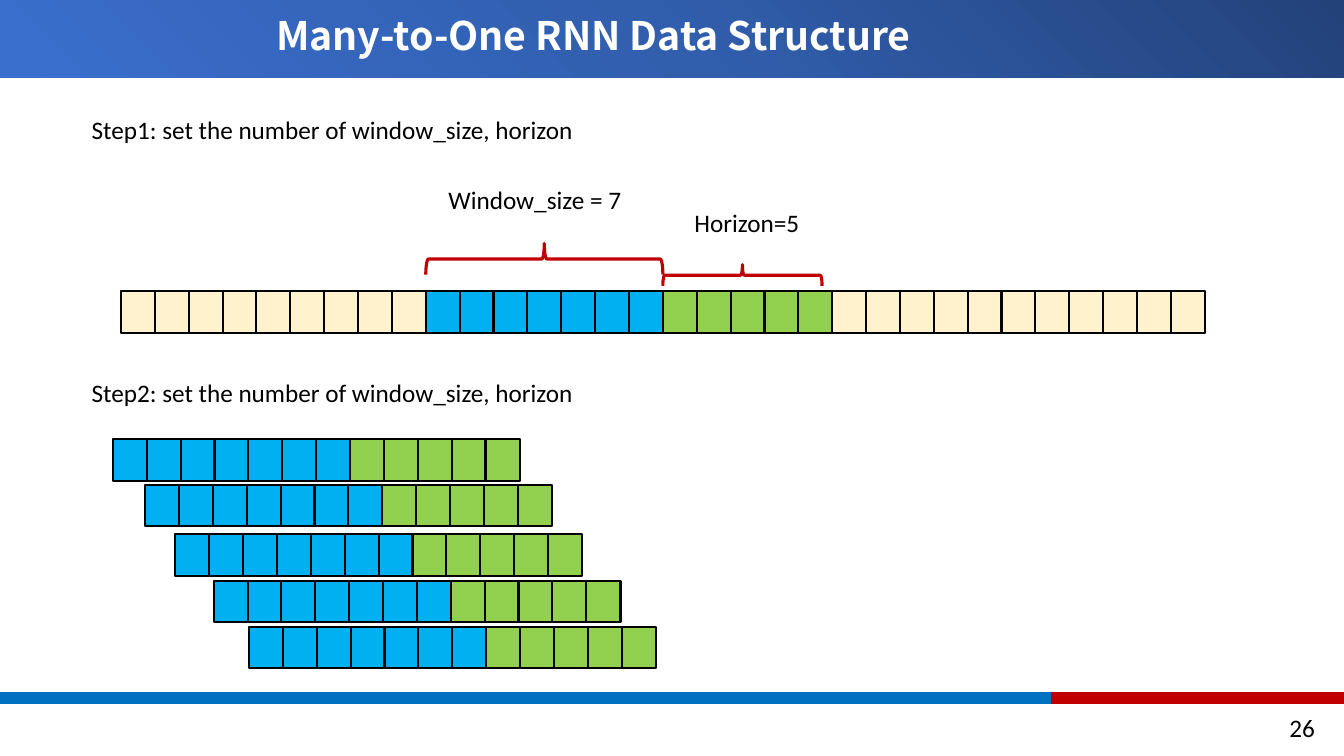
import lxml.etree
import pptx
import pptx.dml.color
import pptx.enum.shapes
import pptx.enum.text
import pptx.oxml
import pptx.oxml.ns
import pptx.util
from dataclasses import dataclass

SHAPES = pptx.enum.shapes.MSO_SHAPE
ALIGN = pptx.enum.text.PP_ALIGN
ANCHOR = pptx.enum.text.MSO_ANCHOR
FIT = pptx.enum.text.MSO_AUTO_SIZE

# The slide is a grid of 100 columns by 100 rows
WIDTH, HEIGHT = pptx.util.Inches(13.33), pptx.util.Inches(7.5)
COLUMN, ROW = WIDTH / 100, HEIGHT / 100

# Sequence cells, in columns and rows
PITCH, CELL_WIDTH, CELL_HEIGHT = 2.52, 2.55, 5.47
WINDOW, HORIZON = 7, 5
PAST, FUTURE = 9, 11


@dataclass(frozen=True)
class Theme:
    body_font: str = "Calibri"
    title_font: str = "Noto Sans CJK KR"
    body_size: float = 18
    title_size: float = 28
    text: str = "000000"
    title: str = "FFFFFF"
    outline: str = "000000"
    unused: str = "FFF2CC"
    window: str = "00B0F0"
    horizon: str = "92D050"
    brace: str = "C00000"
    footer_main: str = "0070C0"
    footer_end: str = "C00000"
    header: tuple = ((0, "23427A"), (50, "315EAD"), (100, "3A6FCE"))


THEME = Theme()


def color(code):
    return pptx.dml.color.RGBColor.from_string(code)


def place(left, top, width, height):
    """Turn grid columns and rows into slide lengths."""
    return [round(left * COLUMN), round(top * ROW),
            round(width * COLUMN), round(height * ROW)]


def apply(target, values):
    for name, value in values.items():
        setattr(target, name, value)


def format_font(para, name, size, code, bold=False):
    font = para.font
    apply(font, {"name": name, "size": pptx.util.Pt(size), "bold": bold})
    font.color.rgb = color(code)


def add_block(parent, area, fill, line=None, weight=1):
    box = parent.add_shape(SHAPES.RECTANGLE, *place(*area))
    box.shadow.inherit = False
    box.fill.solid()
    box.fill.fore_color.rgb = color(fill)
    if line:
        box.line.color.rgb = color(line)
        box.line.width = pptx.util.Pt(weight)
    else:
        box.line.fill.background()
    return box


def add_label(page, text, area, align=ALIGN.LEFT):
    box = page.shapes.add_textbox(*place(*area))
    apply(box.text_frame, {"word_wrap": align == ALIGN.RIGHT,
                           "auto_size": FIT.SHAPE_TO_FIT_TEXT})
    para = box.text_frame.paragraphs[0]
    apply(para, {"text": text, "alignment": align})
    format_font(para, THEME.body_font, THEME.body_size, THEME.text)


def add_cells(page, left, top, runs):
    """Draw a row of touching cells from (count, fill) runs."""
    group = page.shapes.add_group_shape()
    fills = [fill for count, fill in runs for _ in range(count)]
    for index, fill in enumerate(fills):
        area = (left + index * PITCH, top, CELL_WIDTH, CELL_HEIGHT)
        add_block(group.shapes, area, fill, THEME.outline, 1.5)


def add_brace(page, left, top, width, height):
    """Draw a brace that opens downward and fills the given area."""
    left, top, width, height = place(left, top, width, height)
    brace = page.shapes.add_shape(
        SHAPES.RIGHT_BRACE, left + (width - height) // 2,
        top + (height - width) // 2, height, width)
    brace.rotation = 270
    brace.shadow.inherit = False
    brace.fill.background()
    brace.line.color.rgb = color(THEME.brace)
    brace.line.width = pptx.util.Pt(2.25)


def add_header(page):
    band = add_block(page.shapes, (0, 0, 100, 10.27), THEME.header[0][1])
    stops = "".join(
        f'<a:gs pos="{share * 1000}"><a:srgbClr val="{code}"/></a:gs>'
        for share, code in THEME.header)
    gradient = pptx.oxml.parse_xml(
        f'<a:gradFill {pptx.oxml.ns.nsdecls("a")} rotWithShape="1">'
        f'<a:gsLst>{stops}</a:gsLst><a:path path="circle">'
        '<a:fillToRect l="100000" b="100000"/></a:path></a:gradFill>')
    properties = band._element.spPr
    solid = properties.find(pptx.oxml.ns.qn("a:solidFill"))
    properties.replace(solid, gradient)


def add_title(page, text):
    title = page.shapes.title
    apply(title, dict(zip(("left", "top", "width", "height"),
                          place(2.63, 0.13, 83.7, 9.87))))
    apply(title.text_frame, {"word_wrap": True, "auto_size": FIT.NONE,
                             "vertical_anchor": ANCHOR.MIDDLE})
    para = title.text_frame.paragraphs[0]
    apply(para, {"text": text, "alignment": ALIGN.CENTER, "line_spacing": 0.9})
    format_font(para, THEME.title_font, THEME.title_size, THEME.title, True)
    # Bring the title in front of the header band
    page.shapes._spTree.append(title._element)


def add_footer(page, number):
    split = 78.24
    for left, width, fill in ((0, split, THEME.footer_main),
                              (split, 100 - split, THEME.footer_end)):
        add_block(page.shapes, (left, 91.6, width, 1.47), fill, fill)
    add_label(page, number, (79.74, 93.6, 18.83, 5.33), ALIGN.RIGHT)


def main():
    deck = pptx.Presentation()
    apply(deck, {"slide_width": WIDTH, "slide_height": HEIGHT})
    page = deck.slides.add_slide(deck.slide_layouts[5])

    # Frame of the slide
    add_header(page)
    add_footer(page, "26")
    add_title(page, "Many-to-One RNN Data Structure ")

    # Step 1: the whole series with one window and its horizon
    sample = [(WINDOW, THEME.window), (HORIZON, THEME.horizon)]
    start = 9
    add_cells(page, start, 38.53,
              [(PAST, THEME.unused), *sample, (FUTURE, THEME.unused)])
    window_left = start + PAST * PITCH
    horizon_left = window_left + WINDOW * PITCH
    add_brace(page, window_left, 32.2, WINDOW * PITCH, 4.13)
    add_brace(page, horizon_left, 35, 11.85, 2.8)

    # Labels
    for text, left, top, width in (
            ("Horizon=5", 50.93, 26.8, 9.38),
            ("Window_size = 7", 32.63, 23.73, 14.55),
            ("Step1: set the number of window_size, horizon", 6.08, 14.4, 38.18),
            ("Step2: set the number of window_size, horizon", 6.08, 49.2, 38.18)):
        add_label(page, text, (left, top, width, 5.33))

    # Step 2: the sliding samples
    for left, top in ((8.4, 58.13), (10.8, 64.13), (13.05, 70.67),
                      (15.9, 76.8), (18.53, 82.93)):
        add_cells(page, left, top, sample)

    deck.save("out.pptx")


if __name__ == "__main__":
    main()
